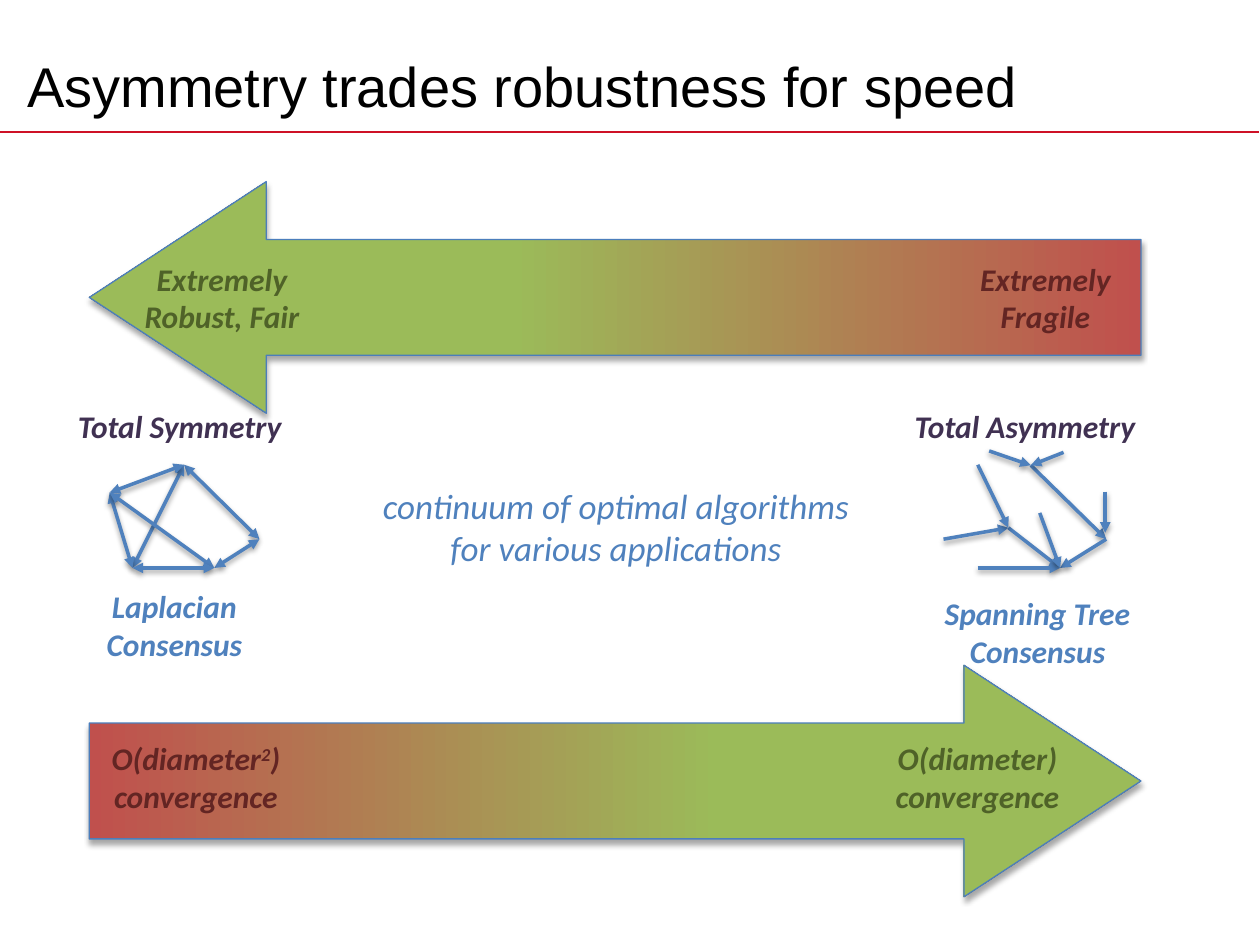
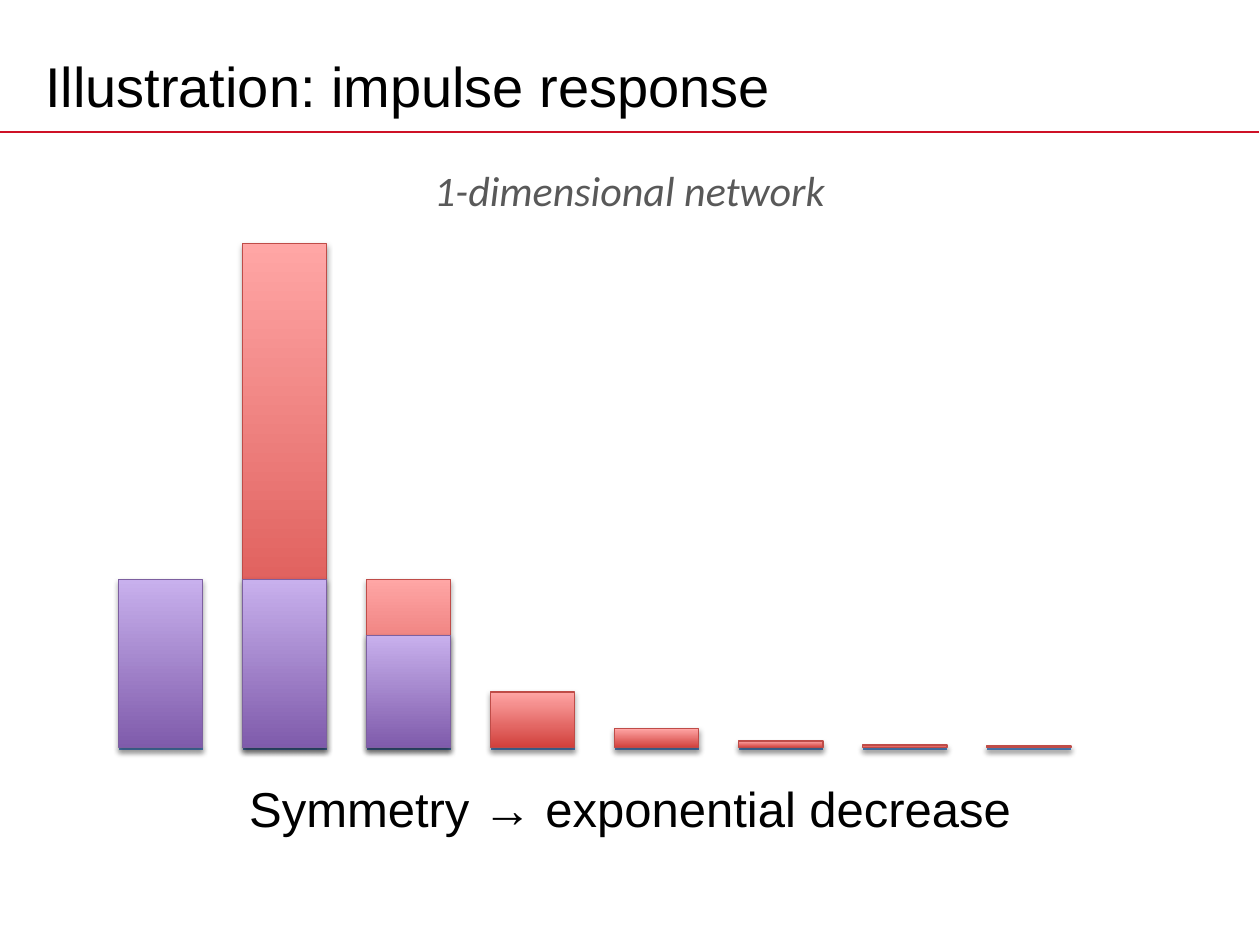
from lxml import etree
from pptx import Presentation
from pptx.dml.color import RGBColor
from pptx.enum.shapes import MSO_CONNECTOR, MSO_SHAPE
from pptx.enum.text import MSO_ANCHOR, MSO_AUTO_SIZE, PP_ALIGN
from pptx.oxml.ns import qn
from pptx.util import Cm, Pt

STRAIGHT = MSO_CONNECTOR.STRAIGHT
RIGHT_ARROW, BAR = MSO_SHAPE.RIGHT_ARROW, MSO_SHAPE.RECTANGLE
LEFT, CENTER = PP_ALIGN.LEFT, PP_ALIGN.CENTER
TOP, MIDDLE = MSO_ANCHOR.TOP, MSO_ANCHOR.MIDDLE
GROW, FIXED = MSO_AUTO_SIZE.SHAPE_TO_FIT_TEXT, MSO_AUTO_SIZE.NONE

# Shared colours
BLACK, RULE_RED, BLUE, ARROW_EDGE = "000000", "CE1126", "4F81BD", "4B7EBC"
BAD, GOOD, DARK_BAD, DARK_GOOD = "C0504D", "9BBB59", "632523", "4F6228"
PLUM, GREY = "403152", "595959"

# Shared text formats
TITLE = {"name": "Arial", "size": Pt(32)}
TAKEAWAY = {"name": "Arial", "size": Pt(28)}
LABEL = {"name": "Calibri", "size": Pt(18), "bold": True, "italic": True}
REMARK = {"name": "Calibri", "size": Pt(20), "italic": True}
SUBTITLE = {"name": "Calibri", "size": Pt(24), "italic": True}


def write_text(slide, box, lines, font_format, color, align=CENTER,
               anchor=TOP, wrap=False, space_before=0):
    """Write lines in a box; text between ^ marks is superscript."""
    frame = slide.shapes.add_textbox(*map(Cm, box)).text_frame
    frame_format = {"word_wrap": wrap, "vertical_anchor": anchor,
                    "auto_size": FIXED if wrap else GROW}
    for key, value in frame_format.items():
        setattr(frame, key, value)
    for number, line in enumerate(lines):
        paragraph = frame.add_paragraph() if number else frame.paragraphs[0]
        paragraph.alignment = align
        paragraph.space_before = Pt(space_before)
        for part, piece in enumerate(line.split("^")):
            run = paragraph.add_run()
            run.text = piece
            for key, value in font_format.items():
                setattr(run.font, key, value)
            run.font.color.rgb = RGBColor.from_string(color)
            if part % 2:
                run._r.get_or_add_rPr().set("baseline", "30000")


def style_outline(shape, color, width, heads=(), shadow=0):
    """Set the line, its arrowheads and a soft shadow (opacity in percent)."""
    shape.line.color.rgb = RGBColor.from_string(color)
    shape.line.width = Pt(width)
    for end in heads:
        etree.SubElement(shape.line._ln, qn(f"a:{end}"), type="triangle")
    effects = etree.SubElement(shape._element.spPr, qn("a:effectLst"))
    if shadow:
        outer = etree.SubElement(effects, qn("a:outerShdw"), blurRad="40000",
                                 dist=str(Pt(1.8)), dir="5400000", rotWithShape="0")
        tint = etree.SubElement(outer, qn("a:srgbClr"), val=BLACK)
        etree.SubElement(tint, qn("a:alpha"), val=str(shadow * 1000))


prs = Presentation()
prs.slide_width, prs.slide_height = Cm(25.4), Cm(19.05)
blank = prs.slide_layouts[6]
tradeoff, impulse = prs.slides.add_slide(blank), prs.slides.add_slide(blank)

# Title and red rule on both slides
for slide, title, left in (
    (tradeoff, "Asymmetry trades robustness for speed", 0.3),
    (impulse, "Illustration: impulse response", 0.66),
):
    rule = slide.shapes.add_connector(STRAIGHT, 0, Cm(2.66), Cm(25.38), Cm(2.66))
    style_outline(rule, RULE_RED, 1)
    write_text(slide, (left, 0.76, 22.86, 1.9), [title], TITLE, BLACK,
               align=LEFT, anchor=MIDDLE, wrap=True)

gradients = []  # shape, first colour, last colour, end of blend, angle

# Slide 1: robustness arrow points left, speed arrow points right
for top, rotation in ((13.41, 0), (3.66, 180)):
    arrow = tradeoff.shapes.add_shape(RIGHT_ARROW, Cm(1.8), Cm(top), Cm(21.2), Cm(4.67))
    arrow.rotation = rotation
    arrow.adjustments[0], arrow.adjustments[1] = 0.5, 0.764
    style_outline(arrow, ARROW_EDGE, 0.75, shadow=35)
    gradients.append((arrow, BAD, GOOD, 0.6, 0))

# Slide 1: labels
for box, lines, color, align in (
    ((18.69, 11.86, 4.45, 1.8), ["Spanning Tree", "Consensus"], BLUE, CENTER),
    ((1.8, 11.71, 3.43, 1.8), ["Laplacian", "Consensus"], BLUE, CENTER),
    ((17.7, 14.78, 4.01, 1.8), ["O(diameter)", "convergence"], DARK_GOOD, CENTER),
    ((1.88, 14.78, 4.14, 1.8), ["O(diameter^2^)", "convergence"], DARK_BAD, CENTER),
    ((19.41, 5.11, 3.33, 1.8), ["Extremely", "Fragile"], DARK_BAD, CENTER),
    ((2.57, 5.11, 3.81, 1.8), ["Extremely", "Robust, Fair"], DARK_GOOD, CENTER),
    ((1.32, 8.08, 4.83, 1.02), ["Total Symmetry"], PLUM, LEFT),
    ((18.19, 8.08, 5.16, 1.02), ["Total Asymmetry"], PLUM, LEFT),
):
    write_text(tradeoff, box, lines, LABEL, color, align)
write_text(tradeoff, (7.34, 9.65, 10.16, 1.96),
           ["continuum of optimal algorithms", "for various applications"], REMARK, BLUE)

# Slide 1: two-way links of the symmetric network
apex, east, west = (3.71, 9.37), (5.23, 10.87), (2.21, 9.93)
south_east, south_west = (4.32, 11.45), (2.67, 11.45)
two_way = [(apex, east), (south_west, apex), (west, south_west), (west, apex),
           (east, south_east), (west, south_east), (south_west, south_east)]

# Slide 1: one-way links of the spanning tree, child to parent
root, tree_apex, tree_east, tree_west = (21.37, 11.45), (20.78, 9.38), (22.3, 10.87), (20.33, 10.64)
one_way = [(tree_apex, tree_east), (tree_east, root), (tree_west, root),
           ((21.44, 9.12), tree_apex), ((19.94, 9.09), tree_apex),
           ((19.02, 10.87), tree_west), ((19.71, 9.37), tree_west),
           ((19.71, 11.45), root), ((20.96, 10.34), root),
           ((22.28, 9.91), (22.28, 10.74))]

for links, heads in ((two_way, ("headEnd", "tailEnd")), (one_way, ("tailEnd",))):
    for start, end in links:
        link = tradeoff.shapes.add_connector(STRAIGHT, *map(Cm, start + end))
        style_outline(link, BLUE, 2, heads, shadow=38)

# Slide 2: one node mark per column
first_column, pitch, column_width = 2.39, 2.5, 1.7
axis_y, bar_base = 15.09, 15.07
columns = [first_column + pitch * number for number in range(8)]
for left in columns:
    node = impulse.shapes.add_connector(
        STRAIGHT, Cm(left), Cm(axis_y), Cm(left + column_width), Cm(axis_y))
    style_outline(node, BLUE, 2, shadow=38)

# Slide 2: responses, red behind purple
red_heights = [0, 10.16, 3.38, 1.12, 0.38, 0.13, 0.05, 0.03]
purple_heights = [3.38, 3.38, 2.26]
for heights, dark, light, edge in (
    (red_heights, "D1403C", "FFA6A5", "BF4C48"),
    (purple_heights, "7F5BAB", "C8B0ED", "7D60A0"),
):
    for left, height in zip(columns, heights):
        if height:
            bar = impulse.shapes.add_shape(
                BAR, Cm(left), Cm(bar_base - height), Cm(column_width), Cm(height))
            style_outline(bar, edge, 0.75, shadow=35)
            gradients.append((bar, dark, light, 1, 90))

# Slide 2: subtitle and takeaway
write_text(impulse, (8.36, 3.2, 8.66, 1.27), ["1-dimensional network"], SUBTITLE, GREY)
write_text(impulse, (1.27, 15.57, 22.86, 1.68), ["Symmetry → exponential decrease"],
           TAKEAWAY, BLACK, wrap=True, space_before=5.6)

# Gradient fills of arrows and bars
for shape, first, last, blend_end, angle in gradients:
    shape.fill.gradient()
    shape.fill.gradient_angle = angle
    for stop, color, position in zip(shape.fill.gradient_stops, (first, last), (0, blend_end)):
        stop.color.rgb = RGBColor.from_string(color)
        stop.position = position

prs.save("out.pptx")
